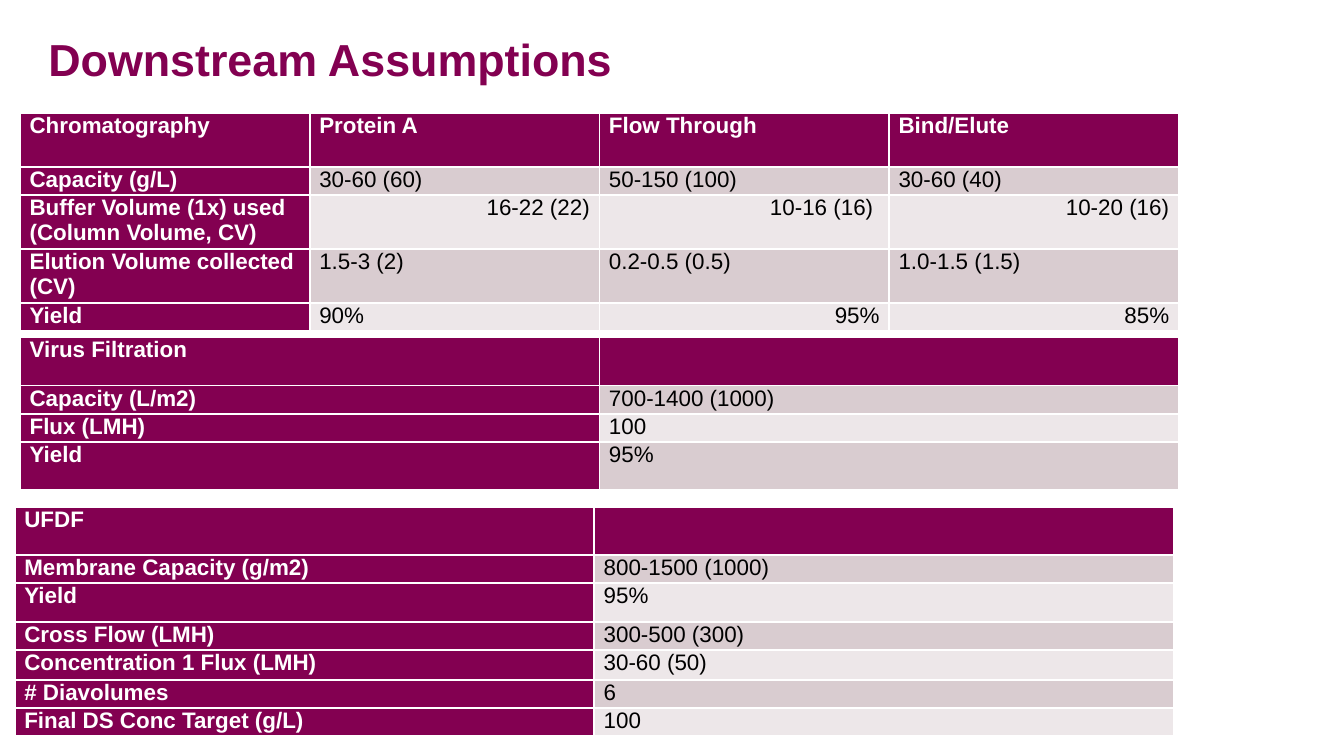
from pptx import Presentation
from pptx.dml.color import RGBColor
from pptx.enum.text import MSO_ANCHOR, MSO_AUTO_SIZE, PP_ALIGN
from pptx.util import Cm, Pt

PLUM = RGBColor(0x83, 0x00, 0x51)
ROSE = RGBColor(0xD9, 0xCC, 0xD0)
PALE = RGBColor(0xED, 0xE7, 0xE9)
WHITE = RGBColor(0xFF, 0xFF, 0xFF)
BLACK = RGBColor(0x00, 0x00, 0x00)

# Row heights in cm
LINE, HEAD, TALL = 0.53, 0.91, 1.02
WIDE = 21.9

CHROMA = [
    ["Chromatography", "Protein A", "Flow Through", "Bind/Elute"],
    ["Capacity (g/L)", "30-60 (60)", "50-150 (100)", "30-60 (40)"],
    ["Buffer Volume (1x) used (Column Volume, CV)",
     "16-22 (22)", "10-16 (16) ", "10-20 (16)"],
    ["Elution Volume collected (CV)", "1.5-3 (2)", "0.2-0.5 (0.5)", "1.0-1.5 (1.5)"],
    ["Yield", "90%", "95%", "85%"],
]
VIRUS = [
    ["Virus Filtration", ""],
    ["Capacity (L/m2)", "700-1400 (1000)"],
    ["Flux (LMH)", "100"],
    ["Yield", "95%"],
]
UFDF = [
    ["UFDF", ""],
    ["Membrane Capacity (g/m2)", "800-1500 (1000)"],
    ["Yield", "95%"],
    ["Cross Flow (LMH)", "300-500 (300)"],
    ["Concentration 1 Flux (LMH)", "30-60 (50)"],
    ["# Diavolumes", "6"],
    ["Final DS Conc Target (g/L)", "100"],
]


def write(frame, text, size=12, color=BLACK, bold=False, align=PP_ALIGN.LEFT):
    """Put one formatted paragraph in a text frame."""
    frame.text = text
    para = frame.paragraphs[0]
    para.alignment = align
    font = para.font
    font.name, font.size, font.bold = "Arial", Pt(size), bold
    font.color.rgb = color


def add_title(slide, text, left, top, width, height):
    """Place the slide title in its box."""
    title = slide.shapes.title
    title.left, title.top = Cm(left), Cm(top)
    title.width, title.height = Cm(width), Cm(height)
    frame = title.text_frame
    frame.auto_size = MSO_AUTO_SIZE.NONE
    frame.vertical_anchor = MSO_ANCHOR.MIDDLE
    write(frame, text, size=24, color=PLUM, bold=True)


def add_grid(slide, data, left, top, width, highs, right=()):
    """Place a table with equal columns; right lists right-aligned cells."""
    cols = len(data[0])
    frame = slide.shapes.add_table(
        len(data), cols, Cm(left), Cm(top), Cm(width), Cm(sum(highs)))
    table = frame.table
    table.first_col = True
    for col in table.columns:
        col.width = Cm(width / cols)
    for r, (row, high) in enumerate(zip(data, highs)):
        table.rows[r].height = Cm(high)
        for c, text in enumerate(row):
            cell = table.cell(r, c)
            cell.margin_left = cell.margin_right = Cm(0.18)
            cell.margin_top = cell.margin_bottom = 0
            label = r == 0 or c == 0
            # Plum labels, then alternating bands
            cell.fill.solid()
            cell.fill.fore_color.rgb = PLUM if label else ROSE if r % 2 else PALE
            write(cell.text_frame, text, bold=label,
                  color=WHITE if label else BLACK,
                  align=PP_ALIGN.RIGHT if (r, c) in right else PP_ALIGN.LEFT)


def main():
    deck = Presentation()
    deck.slide_width, deck.slide_height = Cm(25.4), Cm(14.29)
    slide = deck.slides.add_slide(deck.slide_layouts[5])
    add_title(slide, "Downstream Assumptions", 0.66, 0.41, 24.36, 1.4)

    # Chromatography
    add_grid(slide, CHROMA, 0.38, 2.14, WIDE, [TALL, LINE, TALL, TALL, LINE],
             right={(2, 1), (2, 2), (2, 3), (4, 2), (4, 3)})
    # Virus filtration
    add_grid(slide, VIRUS, 0.38, 6.38, WIDE, [HEAD, LINE, LINE, HEAD])
    # Ultrafiltration and diafiltration
    add_grid(slide, UFDF, 0.28, 9.58, WIDE,
             [HEAD, LINE, 0.74, LINE, 0.56, LINE, LINE])
    deck.save("out.pptx")


if __name__ == "__main__":
    main()
